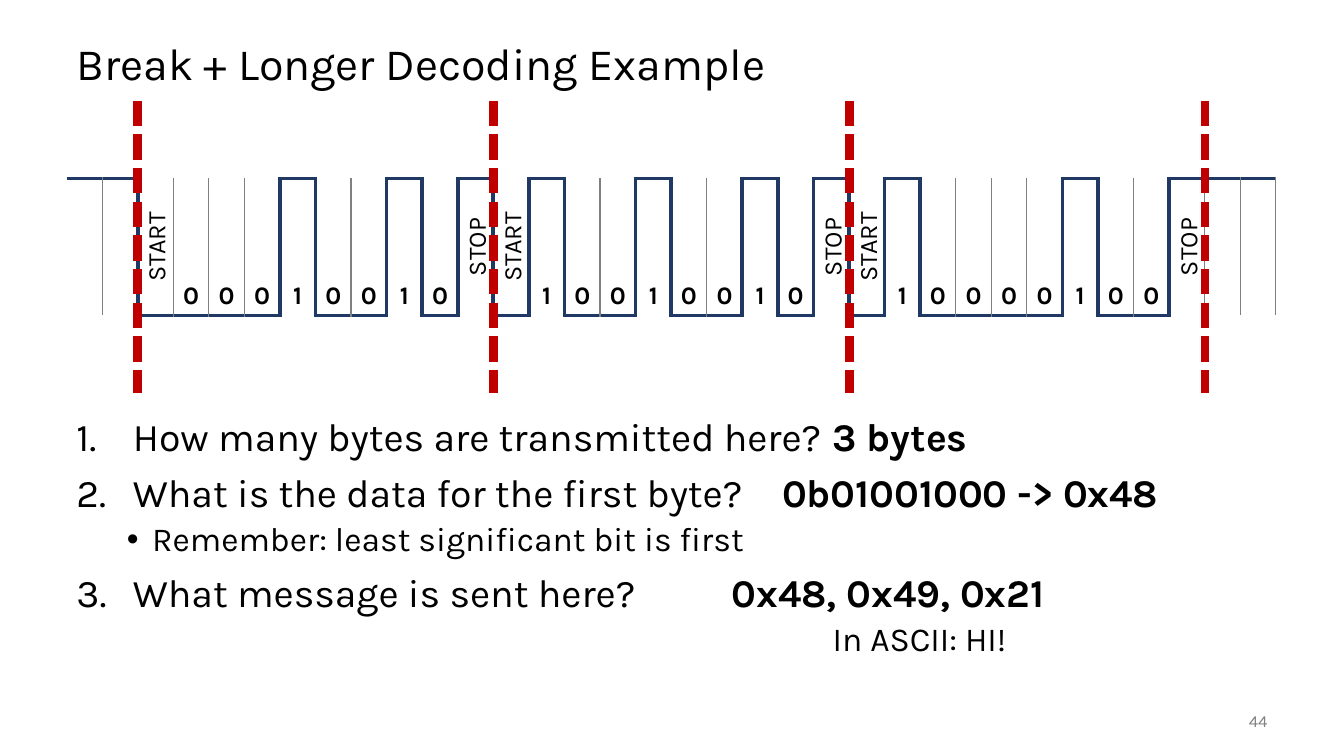
from lxml.etree import SubElement
from pptx import Presentation
from pptx.dml.color import RGBColor
from pptx.enum.dml import MSO_LINE
from pptx.enum.shapes import MSO_CONNECTOR
from pptx.enum.text import MSO_ANCHOR, PP_ALIGN
from pptx.oxml.ns import qn
from pptx.util import Inches, Pt

BLACK = RGBColor(0, 0, 0)
GRAY = RGBColor(0x80, 0x80, 0x80)
NAVY = RGBColor(0x20, 0x38, 0x64)
RED = RGBColor(0xC0, 0, 0)
FONT = "Karla"

# Content
TITLE = "Break + Longer Decoding Example"
PAGE_NUMBER = "44"
BYTES_ON_WIRE = ["00010010", "10010010", "10000100"]
NUMBER, DOT, PLAIN = "number", "dot", "plain"
QUESTIONS = [  # marker, question, answer
    (NUMBER, "How many bytes are transmitted here?\t", "3 bytes"),
    (NUMBER, "What is the data for the first byte?\t", "0b01001000 -> 0x48"),
    (DOT, "Remember: least significant bit is first", ""),
    (NUMBER, "What message is sent here?\t\t", "0x48, 0x49, 0x21"),
    (PLAIN, "In ASCII: HI!", ""),
]
STYLES = {  # level, left margin, first-line indent, size, space before
    NUMBER: (0, 0.56, -0.56, 28, 10),
    DOT: (1, 0.75, -0.25, 24, 5),
    PLAIN: (1, 7.5, 0, 24, 5),
}

# Signal grid: idle, then start + data + stop per byte, then idle
IDLE = 2
FRAME = 10
LEVELS = "1" * IDLE + "".join(f"0{bits}1" for bits in BYTES_ON_WIRE) + "1" * IDLE
LEFT, WIDTH = 0.66, 12
TOP, HEIGHT = 1.77, 1.36
STEP = WIDTH / len(LEVELS)
NO_STYLE = "{2D5ABB26-0587-4C30-8999-92F81FD0307C}"

deck = Presentation()
deck.slide_width, deck.slide_height = Inches(13.33), Inches(7.5)
page = deck.slides.add_slide(deck.slide_layouts[6])


def add_span(para, text, size, color=BLACK, bold=False):
    span = para.add_run()
    span.text = text
    look = {"name": FONT, "size": Pt(size), "bold": bold}
    for name, value in look.items():
        setattr(span.font, name, value)
    span.font.color.rgb = color


def add_box(left, top, width, height, anchor=MSO_ANCHOR.TOP):
    box = page.shapes.add_textbox(*map(Inches, (left, top, width, height)))
    box.text_frame.word_wrap = True
    box.text_frame.vertical_anchor = anchor
    return box


def add_label(area, text, size, align, color=BLACK, anchor=MSO_ANCHOR.MIDDLE):
    box = add_box(*area, anchor)
    para = box.text_frame.paragraphs[0]
    para.alignment = align
    add_span(para, text, size, color)
    return box


def set_border(cell, side, line):
    """Draw one side of a cell; line is (color, points) or None."""
    border = SubElement(cell._tc.get_or_add_tcPr(), qn(f"a:ln{side}"))
    if line is None:
        border.set("w", "0")
        SubElement(border, qn("a:noFill"))
        return
    color, points = line
    border.set("w", str(Pt(points)))
    fill = SubElement(border, qn("a:solidFill"))
    SubElement(fill, qn("a:srgbClr")).set("val", str(color))


def edge_between(before, after):
    return (GRAY, 1) if before == after else (NAVY, 3)


# Title and page number
add_label((LEFT, 0.25, WIDTH, 0.75), TITLE, 32, PP_ALIGN.LEFT)
add_label((11.67, 6.95, 1, 0.4), PAGE_NUMBER, 12, PP_ALIGN.RIGHT, GRAY)

# Waveform table: one column per bit time
frame = page.shapes.add_table(1, len(LEVELS), *map(Inches, (LEFT, TOP, WIDTH, HEIGHT)))
table = frame.table
table.first_row = table.horz_banding = False
table._tbl.tblPr.find(qn("a:tableStyleId")).text = NO_STYLE
data_bits = {
    IDLE + FRAME * number + 1 + place: bit
    for number, bits in enumerate(BYTES_ON_WIRE)
    for place, bit in enumerate(bits)
}
for column, level in enumerate(LEVELS):
    table.columns[column].width = Inches(STEP)
    cell = table.cell(0, column)
    cell.margin_left = cell.margin_right = 0
    cell.vertical_anchor = MSO_ANCHOR.BOTTOM
    following = LEVELS[column + 1:column + 2] or level
    borders = {
        "L": edge_between(LEVELS[column - 1], level) if column else None,
        "R": edge_between(level, following),
        "T": (NAVY, 3) if level == "1" else None,
        "B": (NAVY, 3) if level == "0" else None,
    }
    for side, line in borders.items():
        set_border(cell, side, line)
    cell.fill.background()
    if column in data_bits:
        para = cell.text_frame.paragraphs[0]
        para.alignment = PP_ALIGN.CENTER
        add_span(para, data_bits[column], 18, bold=True)

# Dashed frame limits
for number in range(len(BYTES_ON_WIRE) + 1):
    x = Inches(LEFT + (IDLE + FRAME * number) * STEP)
    limit = page.shapes.add_connector(MSO_CONNECTOR.STRAIGHT, x, Inches(1), x, Inches(3.9))
    limit.line.color.rgb = RED
    limit.line.width = Pt(6)
    limit.line.dash_style = MSO_LINE.SQUARE_DOT
    SubElement(limit._element.spPr, qn("a:effectLst"))

# Upright START and STOP labels, centred on their columns
LABEL_WIDTH, LABEL_HEIGHT = 0.97, 0.4
for text, offset in (("START", 0), ("STOP", FRAME - 1)):
    for number in range(len(BYTES_ON_WIRE)):
        center = LEFT + (IDLE + FRAME * number + offset + 0.5) * STEP
        area = (center - LABEL_WIDTH / 2, 2.25, LABEL_WIDTH, LABEL_HEIGHT)
        label = add_label(area, text, 18, PP_ALIGN.CENTER, anchor=MSO_ANCHOR.TOP)
        label.rotation = 270

# Questions and answers
body = add_box(LEFT, 4.09, WIDTH, 2.66).text_frame
for index, (marker, question, answer) in enumerate(QUESTIONS):
    para = body.add_paragraph() if index else body.paragraphs[0]
    level, margin, indent, size, before = STYLES[marker]
    properties = para._p.get_or_add_pPr()
    properties.set("marL", str(Inches(margin)))
    properties.set("indent", str(Inches(indent)))
    if marker == NUMBER:
        SubElement(properties, qn("a:buFont")).set("typeface", "+mj-lt")
        SubElement(properties, qn("a:buAutoNum")).set("type", "arabicPeriod")
    elif marker == DOT:
        SubElement(properties, qn("a:buFont")).set("typeface", "Arial")
        SubElement(properties, qn("a:buChar")).set("char", "•")
    else:
        SubElement(properties, qn("a:buNone"))
    layout = {"level": level, "line_spacing": 0.9, "space_before": Pt(before if index else 0)}
    for name, value in layout.items():
        setattr(para, name, value)
    add_span(para, question, size)
    if answer:
        add_span(para, answer, size, bold=True)

deck.save("out.pptx")
